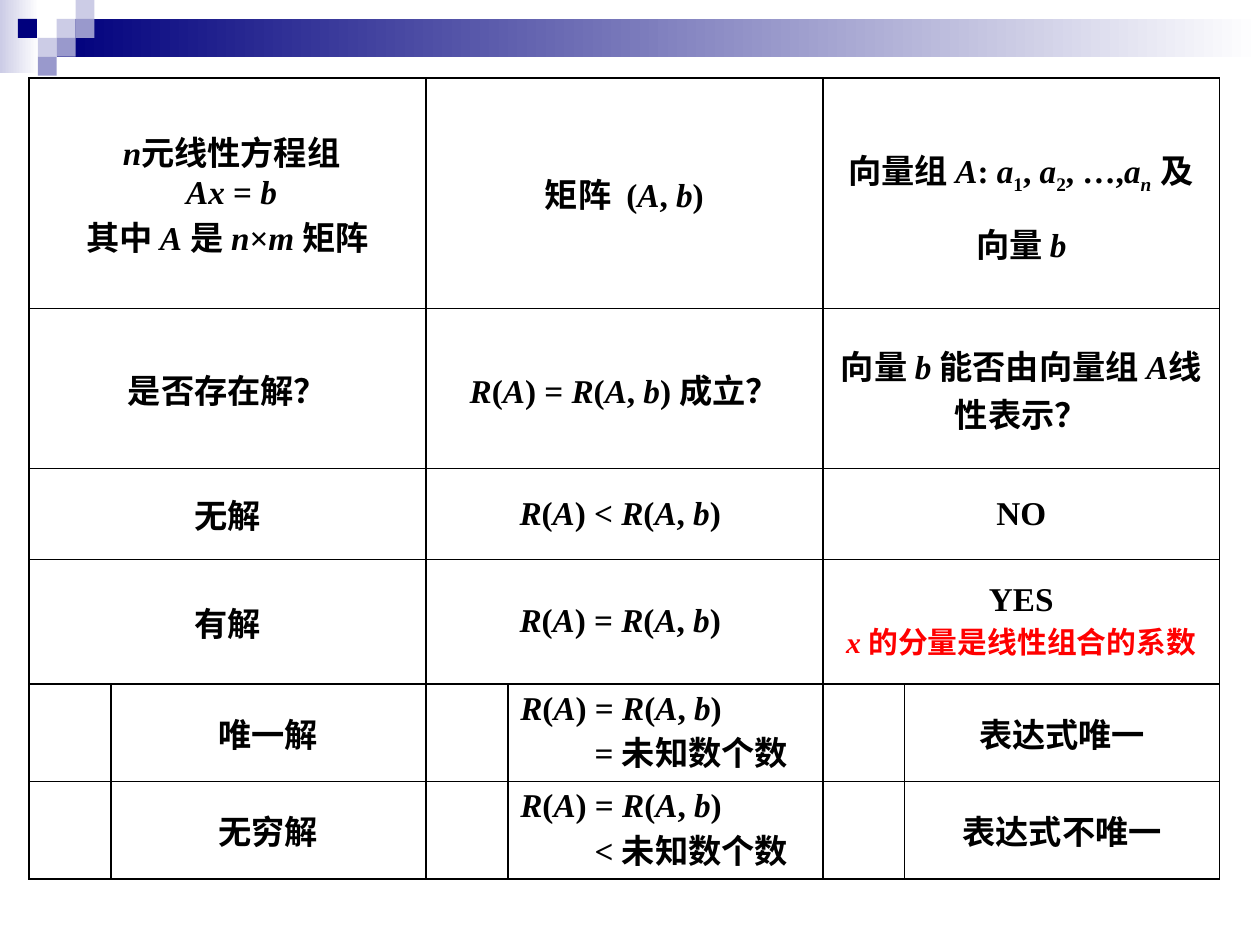
from lxml import etree
from pptx import Presentation
from pptx.dml.color import RGBColor
from pptx.enum.shapes import MSO_SHAPE
from pptx.enum.text import MSO_ANCHOR, PP_ALIGN
from pptx.oxml.ns import qn
from pptx.util import Inches, Pt

RECT = MSO_SHAPE.RECTANGLE
MIDDLE = MSO_ANCHOR.MIDDLE
LEFT, CENTER = PP_ALIGN.LEFT, PP_ALIGN.CENTER
NAVY = RGBColor(0x00, 0x00, 0x7D)
LILAC = RGBColor(0xCC, 0xCC, 0xE6)
VIOLET = RGBColor(0x99, 0x99, 0xCC)
WHITE = RGBColor(0xFF, 0xFF, 0xFF)
BLACK = RGBColor(0x00, 0x00, 0x00)
RED = RGBColor(0xFF, 0x00, 0x00)
FONT = "Times New Roman"
SQUARE = 0.15
MAIN_ROWS = 4

prs = Presentation()
prs.slide_width, prs.slide_height = Inches(10), Inches(7.5)
slide = prs.slides.add_slide(prs.slide_layouts[6])


def add_block(left, top, width, height, color, fade=False):
    block = slide.shapes.add_shape(
        RECT, Inches(left), Inches(top), Inches(width), Inches(height))
    block.shadow.inherit = False
    block.line.fill.background()
    if fade:
        block.fill.gradient()
        block.fill.gradient_angle = 0
        for stop, shade, position in zip(block.fill.gradient_stops, (color, WHITE), (0, 1)):
            stop.color.rgb = shade
            stop.position = position
    else:
        block.fill.solid()
        block.fill.fore_color.rgb = color


def write_line(paragraph, text, size, color):
    """Asterisks enclose italics, underscores enclose subscripts."""
    for i, part in enumerate(text.split("*")):
        for j, piece in enumerate(part.split("_")):
            if piece:
                run = paragraph.add_run()
                run.text = piece
                if i % 2:
                    run.font.italic = True
                if j % 2:
                    run.font._element.set("baseline", "-25000")
    font = paragraph.font
    font.name, font.size, font.bold = FONT, Pt(size), True
    font.color.rgb = color
    for run in paragraph.runs:
        run.font.name, run.font.size, run.font.bold = FONT, Pt(size), True
        run.font.color.rgb = color


# Header band and mosaic, squares given as column and row
add_block(0, 0, 0.31, 0.58, LILAC, fade=True)
add_block(3 * SQUARE, SQUARE, 10 - 3 * SQUARE, 2 * SQUARE, NAVY, fade=True)
for column, row, color in (
    (3, 1, LILAC), (4, 0, LILAC), (4, 1, VIOLET), (2, 2, LILAC),
    (0.95, 1, NAVY), (3, 2, VIOLET), (2, 3, VIOLET),
):
    add_block(column * SQUARE, row * SQUARE, SQUARE, SQUARE, color)

# Table content: system of equations, matrix, vectors
RANKS = "*R*(*A*) {} *R*(*A*, *b*)"
EQUAL, LESS = RANKS.format("="), RANKS.format("<")
content = [
    [[" *n*元线性方程组", " *Ax* = *b*", "其中 *A* 是 *n*×*m *矩阵"],
     ["矩阵  (*A*, *b*)"],
     ["向量组 *A*: *a*_1_, *a*_2_, …,*a_n  _*及向量 *b*"]],
    [["是否存在解？"], [EQUAL + " 成立？"], ["向量 *b *能否由向量组 *A*线性表示？"]],
    [["无解"], [LESS + " "], ["NO"]],
    [["有解"], [EQUAL + " "], ["YES", "*x* 的分量是线性组合的系数"]],
    [["唯一解"], [EQUAL, "= 未知数个数"], ["表达式唯一"]],
    [["无穷解"], [EQUAL, "< 未知数个数"], ["表达式不唯一"]],
]
row_heights = [1.83, 1.27, 0.72, 0.99, 0.73, 0.73]
column_widths = [0.65, 2.5] * 3

table = slide.shapes.add_table(
    len(row_heights), len(column_widths), Inches(0.23), Inches(0.62),
    Inches(sum(column_widths)), Inches(sum(row_heights))).table
table.first_row = table.horz_banding = False
for table_row, height in zip(table.rows, row_heights):
    table_row.height = Inches(height)
for table_column, width in zip(table.columns, column_widths):
    table_column.width = Inches(width)

# Black grid without fill
for cell in table.iter_cells():
    properties = cell._tc.get_or_add_tcPr()
    for side in ("a:lnL", "a:lnR", "a:lnT", "a:lnB"):
        border = etree.SubElement(properties, qn(side), w=str(Pt(1)))
        paint = etree.SubElement(border, qn("a:solidFill"))
        etree.SubElement(paint, qn("a:srgbClr"), val=str(BLACK))
    cell.fill.background()

# Main rows span both columns of a pair, subcases use the second one
for r, entries in enumerate(content):
    for pair, lines in enumerate(entries):
        subcase = r >= MAIN_ROWS
        cell = table.cell(r, 2 * pair + subcase)
        if not subcase:
            cell.merge(table.cell(r, 2 * pair + 1))
        cell.vertical_anchor = MIDDLE
        for n, line in enumerate(lines):
            frame = cell.text_frame
            paragraph = frame.add_paragraph() if n else frame.paragraphs[0]
            paragraph.alignment = LEFT if subcase and pair == 1 else CENTER
            if r == 0 and pair == 2:
                paragraph.line_spacing = 1.5
            if subcase and n:
                paragraph._p.get_or_add_pPr().set("marL", str(Inches(0.59)))
            remark = line.startswith("*x*")
            write_line(paragraph, line, 17 if remark else 19, RED if remark else BLACK)

prs.save("out.pptx")
